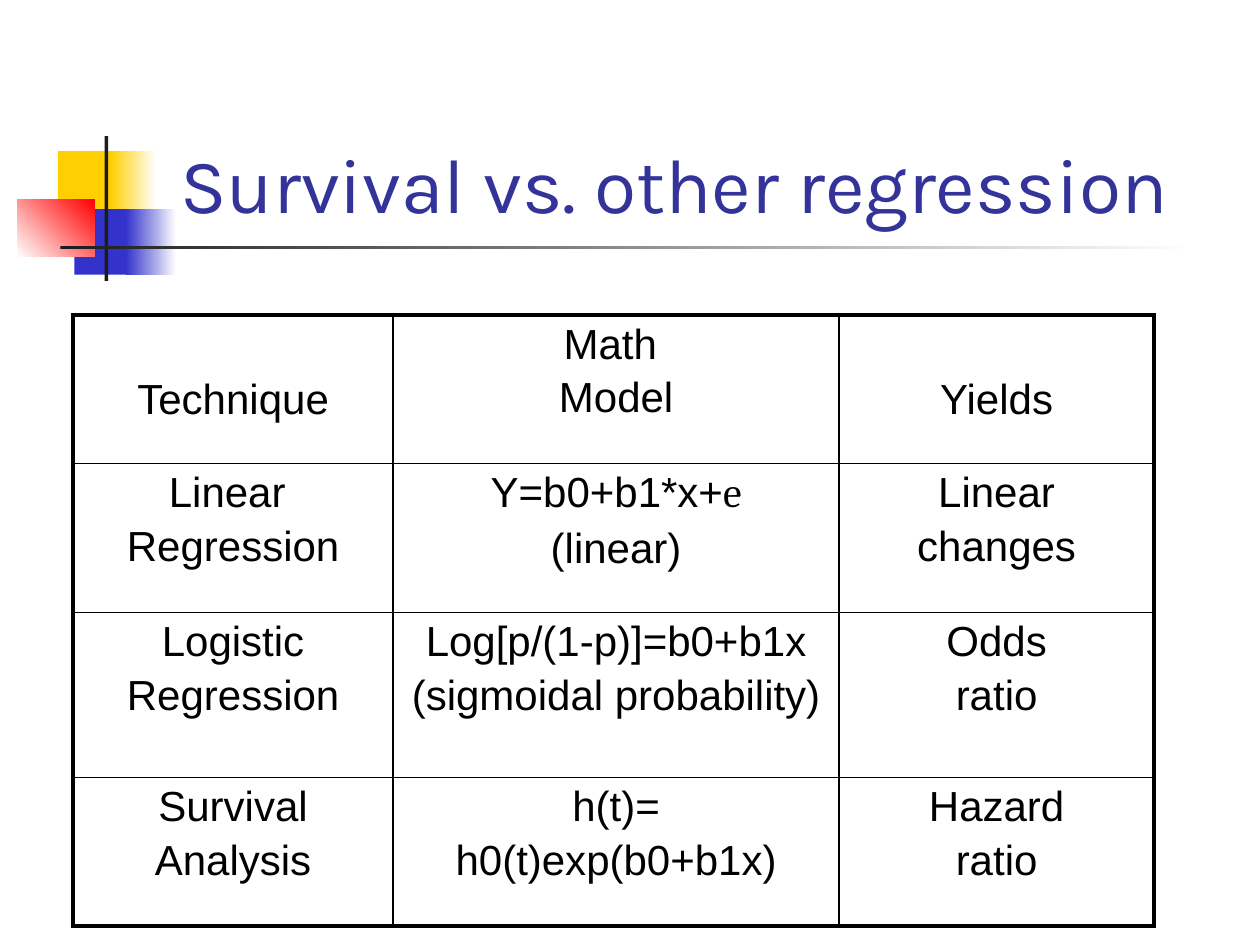
import pptx
import pptx.util
import pptx.dml.color
import pptx.enum.shapes
import pptx.enum.text
import lxml.etree

Inches, Pt = pptx.util.Inches, pptx.util.Pt
DRAWING = "http://schemas.openxmlformats.org/drawingml/2006/main"


def color(hex_string):
    return pptx.dml.color.RGBColor.from_string(hex_string)


def add_border(cell, side, points):
    """Draw one black cell edge; side is L, R, T or B, called in that order."""
    line = lxml.etree.SubElement(cell._tc.get_or_add_tcPr(),
                                 f"{{{DRAWING}}}ln{side}", w=str(Pt(points)))
    solid = lxml.etree.SubElement(line, f"{{{DRAWING}}}solidFill")
    lxml.etree.SubElement(solid, f"{{{DRAWING}}}srgbClr", val="000000")


deck = pptx.Presentation()
deck.slide_width, deck.slide_height = Inches(10), Inches(7.5)
slide = deck.slides.add_slide(deck.slide_layouts[5])

# Ornament: left, top, width, height, colours from start to end, angle
ornament = [
    (0.46, 1.2, 0.48, 0.52, ["FFCF01"], 0),
    (0.88, 1.2, 0.36, 0.52, ["FFCF01", "FFFFFF"], 0),
    (0.59, 1.66, 0.46, 0.52, ["3333CC"], 0),
    (1, 1.66, 0.4, 0.52, ["3333CC", "FFFFFF"], 0),
    (0.14, 1.58, 0.61, 0.46, ["FFFFFF", "FF0000"], 45),
    (0.83, 1.08, 0.03, 1.15, ["1C1C1C"], 0),
    (0.48, 1.95, 9, 0.03, ["1C1C1C", "FFFFFF"], 0),
]
for *box, colors, angle in ornament:
    block = slide.shapes.add_shape(pptx.enum.shapes.MSO_SHAPE.RECTANGLE,
                                   *[Inches(length) for length in box])
    block.shadow.inherit = False
    block.line.fill.background()
    if len(colors) == 1:
        block.fill.solid()
        block.fill.fore_color.rgb = color(colors[0])
    else:
        block.fill.gradient()
        block.fill.gradient_angle = angle
        for stop, shade in zip(block.fill.gradient_stops, colors):
            stop.color.rgb = color(shade)

title = slide.shapes.title
title.left, title.top = Inches(1.33), Inches(0.92)
title.width, title.height = Inches(9), Inches(0.95)
title.text_frame.text = "Survival vs. other regression"
title.text_frame.vertical_anchor = pptx.enum.text.MSO_ANCHOR.BOTTOM
heading = title.text_frame.paragraphs[0]
heading.alignment = pptx.enum.text.PP_ALIGN.LEFT
heading.font.name, heading.font.size = "Karla", Pt(44)
heading.font.color.rgb = color("333399")

# Each cell is a list of lines
techniques = [
    [["Technique"], ["Math ", "Model"], ["Yields"]],
    [["Linear ", "Regression"], ["Y=b0+b1*x+", "(linear)"], ["Linear", "changes"]],
    [["Logistic", "Regression"],
     ["Log[p/(1-p)]=b0+b1x", "(sigmoidal probability)"], ["Odds", "ratio"]],
    [["Survival", "Analysis"], ["h(t)=", "h0(t)exp(b0+b1x)"], ["Hazard", "ratio"]],
]
column_widths = [2.54, 3.54, 2.5]
row_heights = [1.18, 1.18, 1.31, 1.18]
line_pitch = 0.44
thin, thick = 1, 2.25

table = slide.shapes.add_table(
    len(row_heights), len(column_widths), Inches(0.58), Inches(2.5),
    Inches(sum(column_widths)), Inches(sum(row_heights))).table
table.first_row = table.horz_banding = False
for column, width in zip(table.columns, column_widths):
    column.width = Inches(width)
for row, height in zip(table.rows, row_heights):
    row.height = Inches(height)

for r, row_cells in enumerate(techniques):
    for c, lines in enumerate(row_cells):
        cell = table.cell(r, c)
        on_outside = {"L": c == 0, "R": c == len(column_widths) - 1,
                      "T": r == 0, "B": r == len(row_heights) - 1}
        for side, outside in on_outside.items():
            add_border(cell, side, thick if outside else thin)
        cell.fill.background()
        # Single-line headings sit level with the second line of their row
        cell.margin_top = Inches(0.05 + line_pitch * (2 - len(lines)))
        cell.text_frame.text = "\n".join(lines)
        for paragraph in cell.text_frame.paragraphs:
            paragraph.alignment = pptx.enum.text.PP_ALIGN.CENTER
            paragraph.space_before = Pt(3.8)
            paragraph.font.name, paragraph.font.size = "Arial", Pt(24)
            paragraph.font.color.rgb = color("000000")

error_term = table.cell(1, 1).text_frame.paragraphs[0].add_run()
error_term.text = "e"
error_term.font.name = "Cambria"

deck.save("out.pptx")
